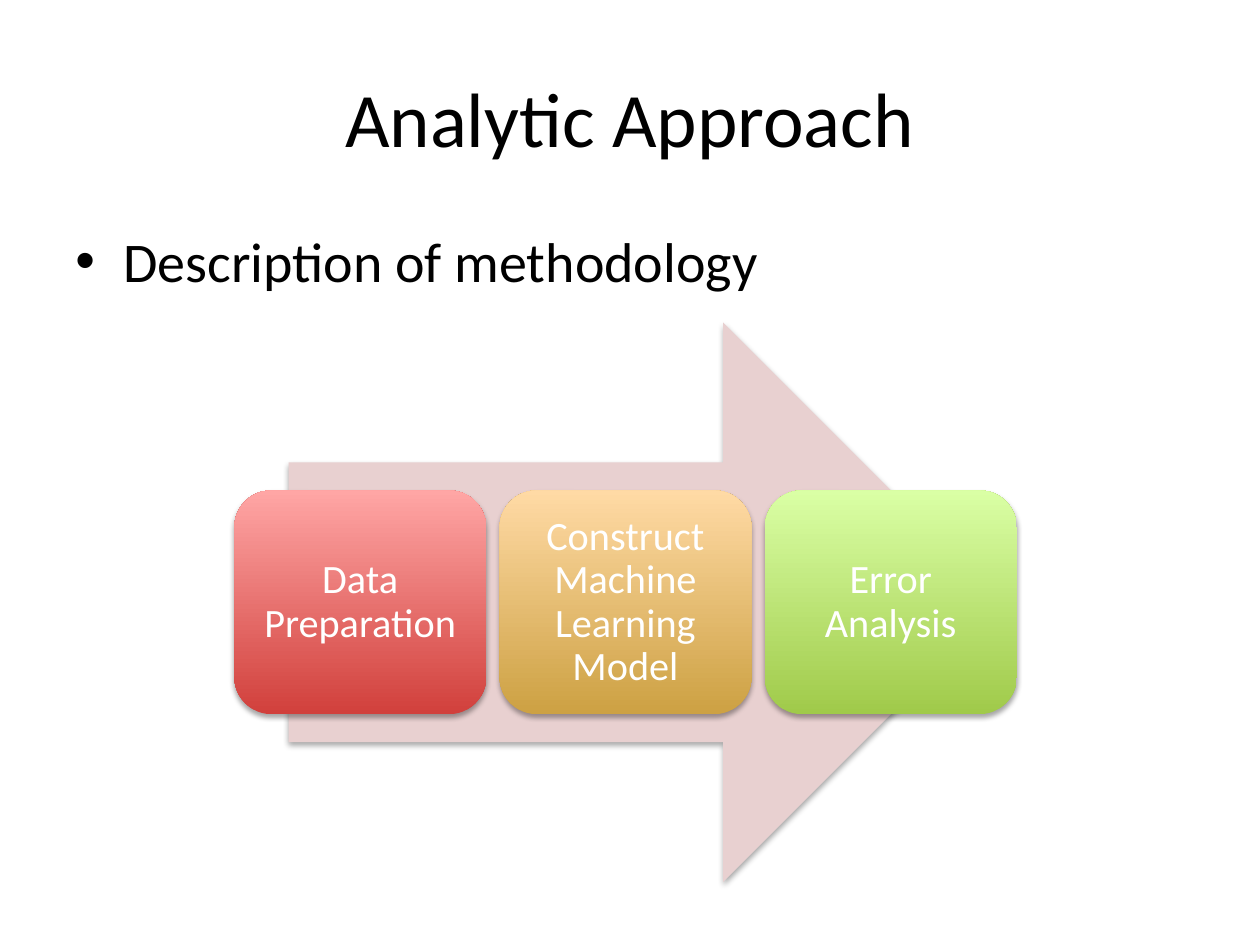
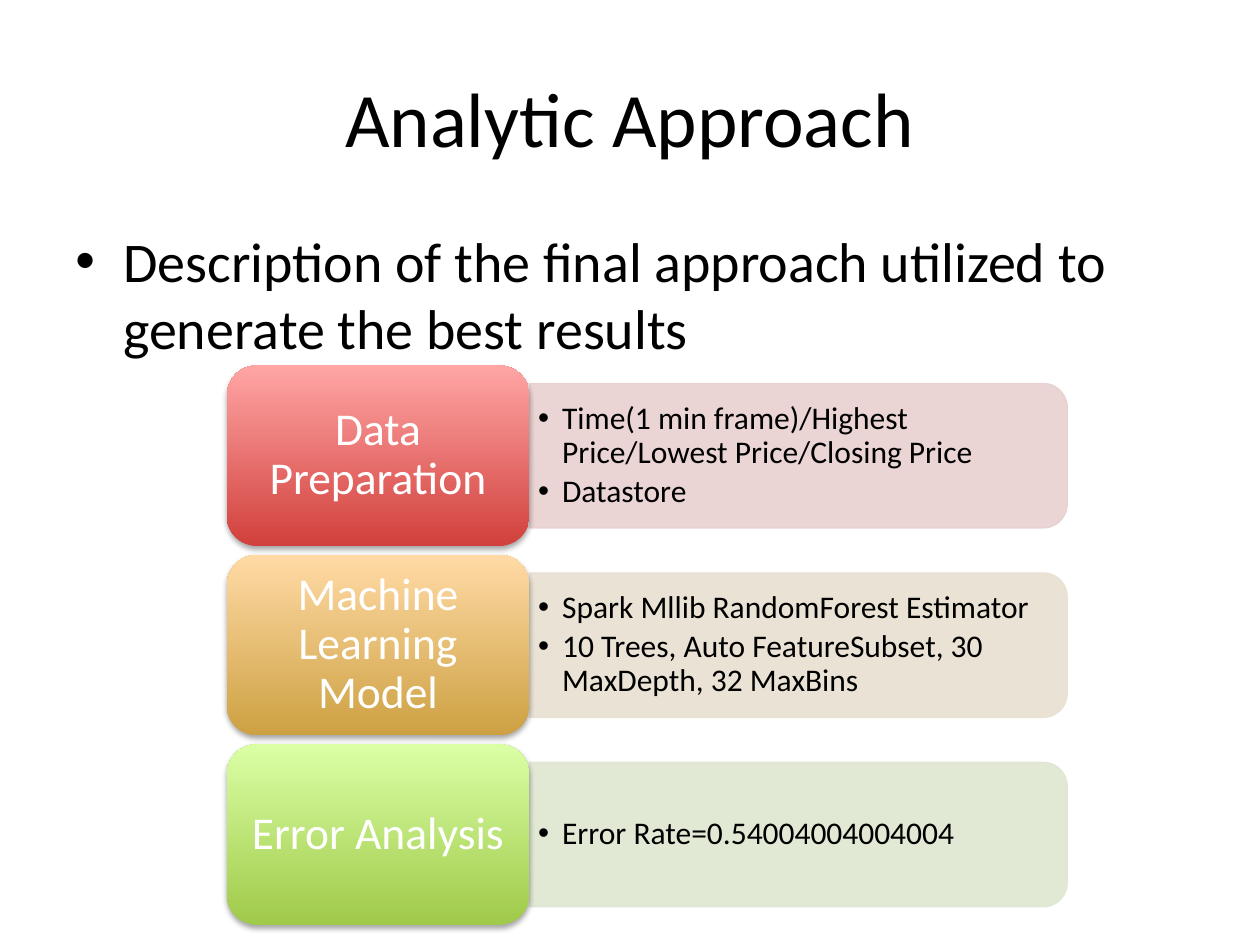
from lxml import etree
from pptx import Presentation
from pptx import util as u
from pptx.dml import color
from pptx.enum import shapes, text
from pptx.oxml import ns

FONT = "Calibri"
BLACK, WHITE = "000000", "FFFFFF"
RED = ("D1403C", "FFA6A5", "E8D0D0")
ORANGE = ("CDA143", "FFDAA5", "E8E1D1")
GREEN = ("A0CA4A", "DAFFA5", "DEE7D1")


def rgb(value):
    return color.RGBColor.from_string(value)


def inches(*values):
    return [u.Inches(value) for value in values]


def add_element(parent, tag, **attributes):
    element = etree.SubElement(parent, ns.qn(tag))
    for name, value in attributes.items():
        element.set(name, str(value))
    return element


def write_text(shape, paragraphs, size, ink=BLACK, align=text.PP_ALIGN.LEFT,
               anchor=text.MSO_ANCHOR.MIDDLE, insets=(0.1, 0.05),
               spacing=None, before=0, after=0, indent=0):
    frame = shape.text_frame
    frame.word_wrap = True
    frame.auto_size = text.MSO_AUTO_SIZE.NONE
    frame.vertical_anchor = anchor
    frame.margin_left = frame.margin_right = u.Inches(insets[0])
    frame.margin_top = frame.margin_bottom = u.Inches(insets[1])
    frame.text = "\n".join(paragraphs)
    for paragraph in frame.paragraphs:
        paragraph.alignment = align
        paragraph.line_spacing = spacing
        paragraph.space_before = u.Pt(before)
        paragraph.space_after = u.Pt(after)
        font = paragraph.runs[0].font
        font.name, font.size = FONT, u.Pt(size)
        font.color.rgb = rgb(ink)
        if indent:
            properties = paragraph._p.get_or_add_pPr()
            properties.set("marL", str(u.Inches(indent)))
            properties.set("indent", str(-u.Inches(indent)))
            add_element(properties, "a:buFont", typeface="Arial")
            add_element(properties, "a:buChar", char="•")


def add_shape(slide, kind, box):
    shape = slide.shapes.add_shape(kind, *inches(*box))
    shape.line.fill.background()
    shape.shadow.inherit = False
    return shape


def add_shadow(shape):
    effects = shape._element.spPr.find(ns.qn("a:effectLst"))
    shadow = add_element(effects, "a:outerShdw", blurRad=u.Pt(3.1), dist=u.Pt(1.8),
                         dir=5400000, rotWithShape=0)
    add_element(add_element(shadow, "a:srgbClr", val=BLACK), "a:alpha", val=35000)


def set_solid(fill, value, opacity=100):
    fill.solid()
    fill.fore_color.rgb = rgb(value)
    if opacity < 100:
        for element in fill._xPr.iter(ns.qn("a:srgbClr")):
            if element.find(ns.qn("a:alpha")) is None:
                add_element(element, "a:alpha", val=opacity * 1000)


def add_label(slide, box, label, palette, size, insets):
    shape = add_shape(slide, shapes.MSO_SHAPE.ROUNDED_RECTANGLE, box)
    shape.fill.gradient()
    shape.fill.gradient_angle = 90
    for stop, position, value in zip(shape.fill.gradient_stops, (0, 1), palette):
        stop.position = position
        stop.color.rgb = rgb(value)
    add_shadow(shape)
    write_text(shape, [label], size, ink=WHITE, align=text.PP_ALIGN.CENTER,
               insets=insets, spacing=0.9)


def add_process(slide, box, steps):
    left, top, width, height = box
    arrow = add_shape(slide, shapes.MSO_SHAPE.RIGHT_ARROW,
                      (left + 0.43, top, 5.67, height))
    set_solid(arrow.fill, RED[2])
    add_shadow(arrow)
    step_width, step_height = 2, height * 0.4
    pitch = (width - step_width) / (len(steps) - 1)
    for index, (label, palette) in enumerate(steps):
        add_label(slide, (left + index * pitch, top + (height - step_height) / 2,
                          step_width, step_height), label, palette, 23, (0.1, 0.1))


def add_detail(slide, box, items, tint):
    left, top, width, height = box
    panel = add_shape(slide, shapes.MSO_SHAPE.ROUND_2_SAME_RECTANGLE,
                      (left + (width - height) / 2, top + (height - width) / 2,
                       height, width))
    panel.rotation = 90
    set_solid(panel.fill, tint, 90)
    panel.line.width = u.Pt(0.75)
    set_solid(panel.line.fill, tint, 90)
    caption = slide.shapes.add_textbox(
        *inches(left, top + 0.06, width - 0.06, height - 0.12))
    write_text(caption, items, 18, insets=(0.07, 0.04), spacing=0.9,
               after=2.7, indent=0.19)


def add_rows(slide, box, rows):
    left, top, width, height = box
    gap = 0.07
    row_height = (height - gap * (len(rows) - 1)) / len(rows)
    label_width = width * 0.36
    for index, (label, palette, items) in enumerate(rows):
        row_top = top + index * (row_height + gap)
        add_detail(slide, (left + label_width, row_top + row_height * 0.1,
                           width - label_width, row_height * 0.8), items, palette[2])
        add_label(slide, (left, row_top, label_width, row_height),
                  label, palette, 26, (0.11, 0.05))


def add_slide(presentation, title, statement):
    slide = presentation.slides.add_slide(presentation.slide_layouts[5])
    heading = slide.shapes.title
    heading.left, heading.top, heading.width, heading.height = inches(0.5, 0.3, 9, 1.25)
    write_text(heading, [title], 44, align=text.PP_ALIGN.CENTER)
    body = slide.shapes.add_textbox(*inches(0.5, 1.75, 9, 4.95))
    write_text(body, [statement], 32, anchor=text.MSO_ANCHOR.TOP, before=6.4, indent=0.38)
    return slide


presentation = Presentation()
presentation.slide_width, presentation.slide_height = inches(10, 7.5)

methodology = add_slide(presentation, "Analytic Approach", "Description of methodology")
add_process(methodology, (1.86, 2.56, 6.21, 4.44), [
    ("Data Preparation", RED),
    ("Construct Machine Learning Model", ORANGE),
    ("Error Analysis", GREEN),
])

final_approach = add_slide(
    presentation, "Analytic Approach",
    "Description of the final approach utilized to generate the best results")
add_rows(final_approach, (1.8, 2.9, 6.67, 4.44), [
    ("Data Preparation", RED,
     ["Time(1 min frame)/Highest Price/Lowest Price/Closing Price", "Datastore"]),
    ("Machine Learning Model", ORANGE,
     ["Spark Mllib RandomForest Estimator",
      "10 Trees, Auto FeatureSubset, 30 MaxDepth, 32 MaxBins"]),
    ("Error Analysis", GREEN, ["Error Rate=0.54004004004004"]),
])

presentation.save("out.pptx")
